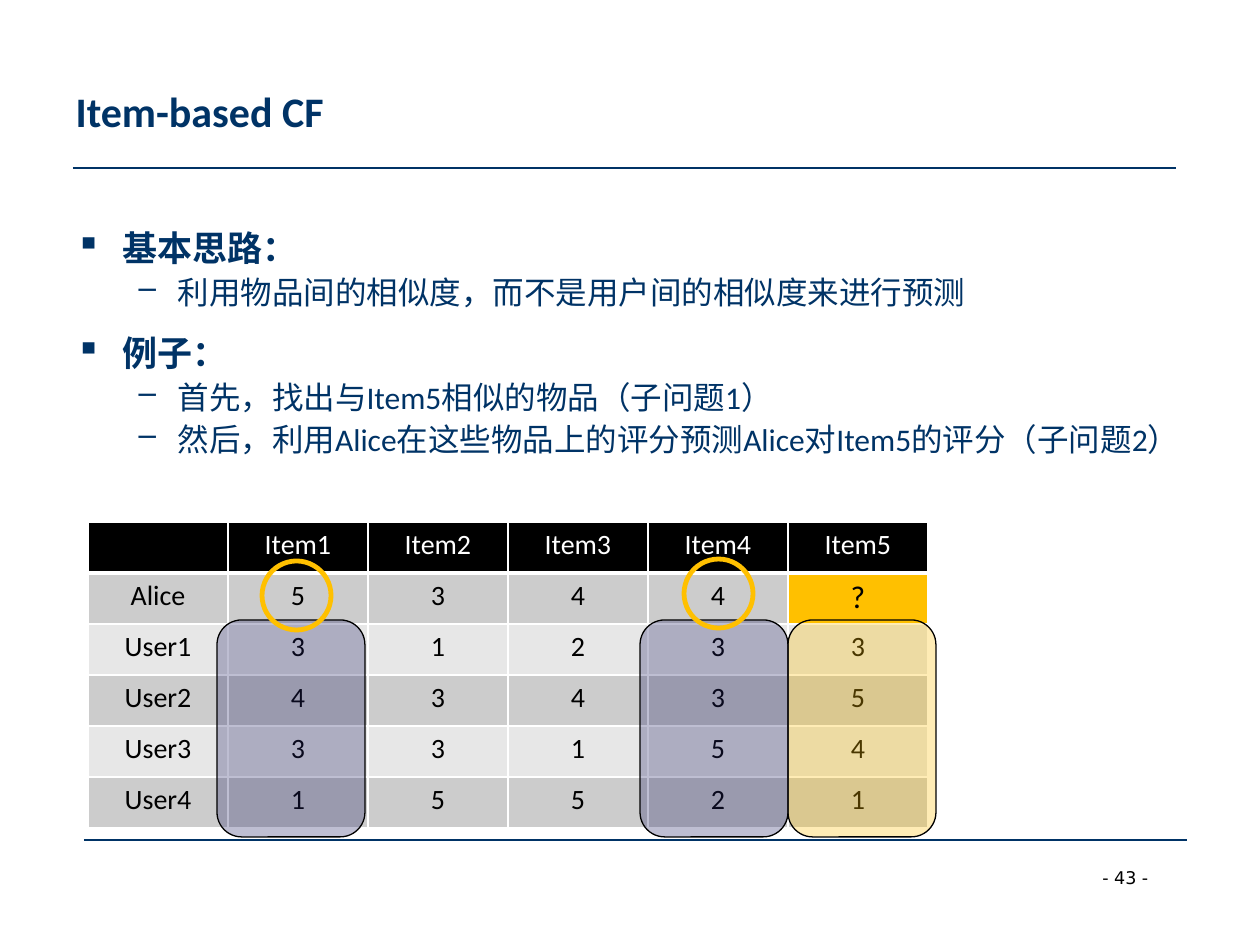
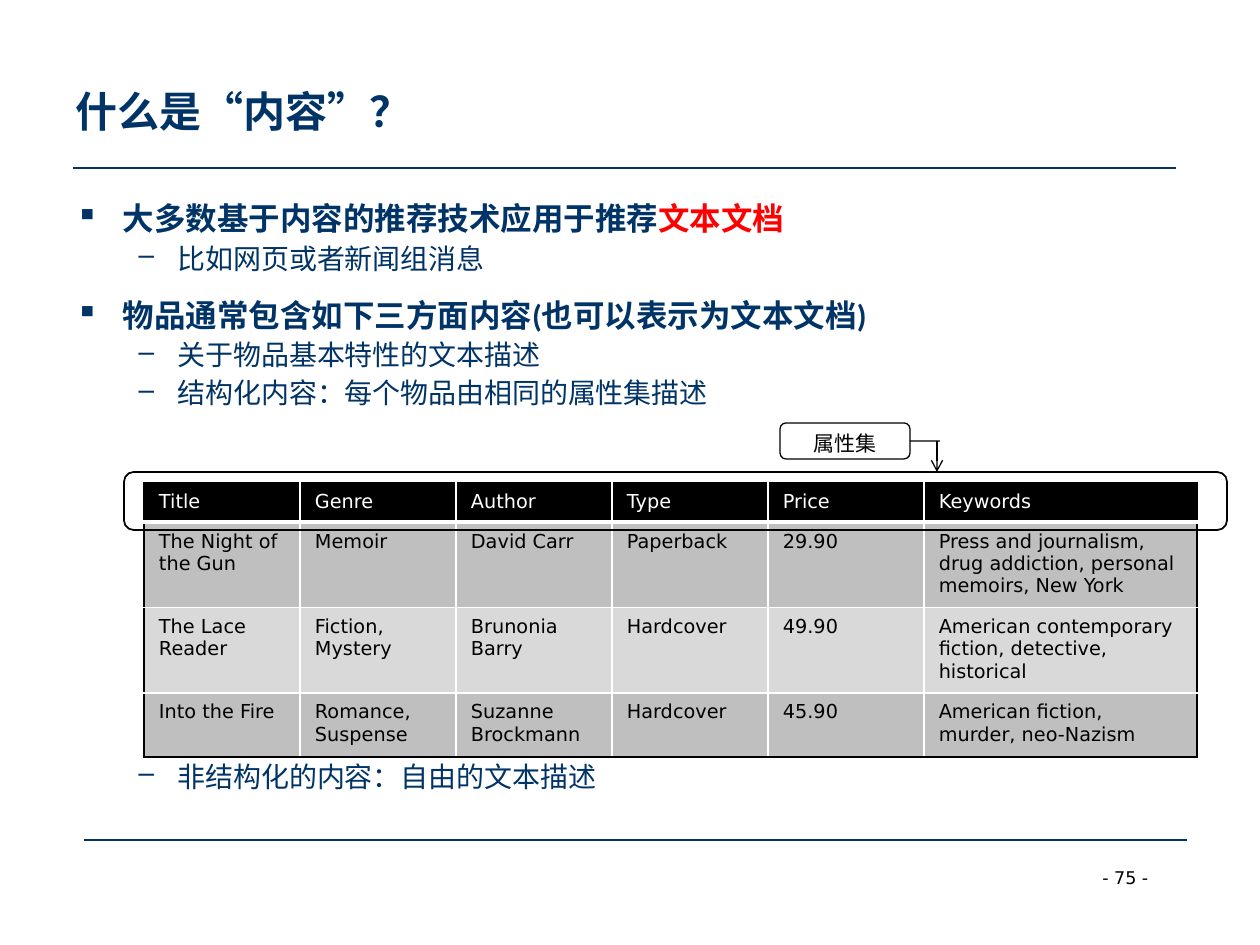
from dataclasses import dataclass

from lxml.etree import SubElement
from pptx import Presentation
from pptx.dml.color import RGBColor
from pptx.enum.shapes import MSO_CONNECTOR as Line, MSO_SHAPE as Preset
from pptx.enum.text import MSO_ANCHOR as Anchor, MSO_AUTO_SIZE as AutoSize, PP_ALIGN as Align
from pptx.oxml import parse_xml
from pptx.oxml.ns import nsdecls, qn
from pptx.util import Pt

# ---- Content ----
IDEA = {
    "title": "Item-based CF",
    "page": 43,
    "body": (63, 220, 1134, 624),
    "sizes": (20, 18),
    "points": [
        (0, "基本思路："),
        (1, "利用物品间的相似度，而不是用户间的相似度来进行预测"),
        (0, "例子："),
        (1, "首先，找出与Item5相似的物品（子问题1）"),
        (1, "然后，利用Alice在这些物品上的评分预测Alice对Item5的评分（子问题2）"),
    ],
}
RATINGS = [
    ["", "Item1", "Item2", "Item3", "Item4", "Item5"],
    ["Alice", "5", "3", "4", "4", "?"],
    ["User1", "3", "1", "2", "3", "3"],
    ["User2", "4", "3", "4", "3", "5"],
    ["User3", "3", "3", "1", "5", "4"],
    ["User4", "1", "5", "5", "2", "1"],
]

CONTENT = {
    "title": "什么是“内容”？",
    "page": 75,
    "body": (63, 193, 1134, 646),
    "sizes": (18, 16),
    "points": [
        (0, "大多数基于内容的推荐技术应用于推荐", "文本文档"),
        (1, "比如网页或者新闻组消息"),
        (0, "物品通常包含如下三方面内容(也可以表示为文本文档)"),
        (1, "关于物品基本特性的文本描述"),
        (1, "结构化内容：每个物品由相同的属性集描述"),
        (1, "非结构化的内容：自由的文本描述"),
    ],
}
BOOKS = [
    ["Title", "Genre", "Author", "Type", "Price", "Keywords"],
    ["The Night of the Gun", "Memoir", "David Carr", "Paperback", "29.90",
     "Press and journalism, drug addiction, personal memoirs, New York"],
    ["The Lace Reader", "Fiction, Mystery", "Brunonia Barry", "Hardcover", "49.90",
     "American contemporary fiction, detective, historical"],
    ["Into the Fire", "Romance, Suspense", "Suzanne Brockmann", "Hardcover", "45.90",
     "American fiction, murder, neo-Nazism"],
]
ATTRIBUTE_SET = "属性集"


# ---- Theme ----
@dataclass(frozen=True)
class Theme:
    heading_font: str = "Calibri"
    plain_font: str = "DejaVu Sans"
    navy: str = "003366"
    black: str = "000000"
    white: str = "FFFFFF"
    red: str = "FF0000"
    gold: str = "FFC000"
    indigo: str = "222267"
    rating_bands: tuple = ("CCCCCC", "E7E7E7")
    book_bands: tuple = ("BFBFBF", "D9D9D9")
    title_size: int = 24
    rating_size: int = 16
    unknown_size: int = 18
    label_size: int = 12
    book_size: int = 11
    page_size: int = 10


THEME = Theme()
EMU_PER_PX = 914400 / 126
# bullet, left margin px, hanging px, space before pt
LEVELS = [("▪", 47, 47, 12), ("–", 102, 39, 2.4)]


def px(length):
    return round(length * EMU_PER_PX)


def box(*lengths):
    return [px(length) for length in lengths]


def rgb(color):
    return RGBColor.from_string(color)


def style(font, size, color, face, bold=False):
    font.size, font.name, font.bold = Pt(size), face, bold
    font.color.rgb = rgb(color)


# ---- Shapes and lines ----
def add_outline(slide, preset, place, color=THEME.black, width=0.75, fill=None, opacity=29):
    shape = slide.shapes.add_shape(preset, *box(*place))
    shape.shadow.inherit = False
    shape.line.color.rgb = rgb(color)
    shape.line.width = Pt(width)
    if fill:
        shape.fill.solid()
        shape.fill.fore_color.rgb = rgb(fill)
        tint = shape._element.spPr.find(".//" + qn("a:solidFill"))[0]
        SubElement(tint, qn("a:alpha"), val=str(opacity * 1000))
    else:
        shape.fill.background()
    return shape


def add_line(slide, ends, color=THEME.black, arrow=False):
    line = slide.shapes.add_connector(Line.STRAIGHT, *box(*ends))
    line.line.color.rgb = rgb(color)
    line.line.width = Pt(0.75)
    if arrow:
        SubElement(line.line._get_or_add_ln(), qn("a:tailEnd"), type="arrow")
    SubElement(line._element.spPr, qn("a:effectLst"))
    return line


# ---- Title, list and footer shared by the slides ----
def place(placeholder, area):
    placeholder.left, placeholder.top, placeholder.width, placeholder.height = box(*area)


def add_points(frame, points, sizes):
    frame.auto_size = AutoSize.NONE
    for index, (level, *texts) in enumerate(points):
        point = frame.paragraphs[0] if index == 0 else frame.add_paragraph()
        bullet, margin, hanging, before = LEVELS[level]
        point.level = level
        point.space_before = Pt(before if index else 0)
        props = point._p.get_or_add_pPr()
        props.set("marL", str(px(margin)))
        props.set("indent", str(-px(hanging)))
        SubElement(props, qn("a:buFontTx"))
        SubElement(props, qn("a:buChar"), char=bullet)
        style(point.font, sizes[level], THEME.navy, THEME.heading_font, bold=level == 0)
        for text in texts:
            point.add_run().text = text
        for accent in point.runs[1:]:
            accent.font.color.rgb = rgb(THEME.red)


def start_slide(deck, content):
    slide = deck.slides.add_slide(deck.slide_layouts[1])
    title, body = slide.placeholders
    place(title, (63, 32, 1134, 157))
    title.text_frame.text = content["title"]
    title.text_frame.vertical_anchor = Anchor.MIDDLE
    heading = title.text_frame.paragraphs[0]
    heading.alignment = Align.LEFT
    style(heading.font, THEME.title_size, THEME.navy, THEME.heading_font, bold=True)

    place(body, content["body"])
    add_points(body.text_frame, content["points"], content["sizes"])

    for left, y in ((73, 168), (84, 840)):
        add_line(slide, (left, y, left + 1103, y), THEME.navy)
    page = slide.shapes.add_textbox(*box(1090, 861, 96, 34)).text_frame
    page.word_wrap = False
    page.text = f"- {content['page']} -"
    style(page.paragraphs[0].font, THEME.page_size, THEME.black, THEME.plain_font)
    return slide


# ---- Tables ----
def set_borders(cell, borders):
    props = cell._tc.get_or_add_tcPr()
    for index, (side, (color, width)) in enumerate(borders.items()):
        props.insert(index, parse_xml(
            f'<a:ln{side} {nsdecls("a")} w="{Pt(width)}"><a:solidFill>'
            f'<a:srgbClr val="{color}"/></a:solidFill></a:ln{side}>'))


def add_grid(slide, rows, corner, widths, heights, bands, size, face,
             edge=THEME.white, align=Align.LEFT, margins=(13, 6)):
    area = box(*corner, sum(widths), sum(heights))
    table = slide.shapes.add_table(len(rows), len(widths), *area).table
    for column, width in zip(table.columns, widths):
        column.width = px(width)
    for row, height in zip(table.rows, heights):
        row.height = px(height)
    last_row, last_column = len(rows) - 1, len(widths) - 1
    for r, texts in enumerate(rows):
        for c, text in enumerate(texts):
            cell = table.cell(r, c)
            cell.margin_left = cell.margin_right = px(margins[0])
            cell.margin_top = cell.margin_bottom = px(margins[1])
            cell.text = text
            entry = cell.text_frame.paragraphs[0]
            entry.alignment = align
            style(entry.font, size, THEME.black if r else THEME.white, face)
            cell.fill.solid()
            cell.fill.fore_color.rgb = rgb(bands[(r - 1) % 2] if r else THEME.black)
            set_borders(cell, {
                "L": (THEME.white if c else edge, 1),
                "R": (edge if c == last_column else THEME.white, 1),
                "T": (THEME.white if r else edge, 1),
                "B": (edge if r == last_row else THEME.white, 1 if r else 3),
            })
    return table


# ---- Slides ----
def build_idea(deck):
    slide = start_slide(deck, IDEA)
    ratings = add_grid(slide, RATINGS, (88, 522), [140] * 6, [51] * 6, THEME.rating_bands,
                       THEME.rating_size, THEME.heading_font, align=Align.CENTER)
    unknown = ratings.cell(1, 5)
    unknown.fill.fore_color.rgb = rgb(THEME.gold)
    unknown.text_frame.paragraphs[0].font.size = Pt(THEME.unknown_size)

    # Compared item columns, then Alice's ratings of the similar items
    for left, tint in ((788, THEME.gold), (217, THEME.indigo), (640, THEME.indigo)):
        add_outline(slide, Preset.ROUNDED_RECTANGLE, (left, 620, 148, 217), fill=tint)
    for left, top in ((262, 561), (684, 559)):
        add_outline(slide, Preset.OVAL, (left, top, 69, 69), THEME.gold, 2.75)


def build_content(deck):
    slide = start_slide(deck, CONTENT)
    # The last point stands below the table
    slide.placeholders[1].text_frame.paragraphs[-1].space_before = Pt(200)
    add_grid(slide, BOOKS, (144, 483), [156] * 5 + [273], [38, 83, 83, 64], THEME.book_bands,
             THEME.book_size, THEME.plain_font, edge=THEME.black, margins=(15, 8))

    # Frame round the header row and its label
    add_outline(slide, Preset.ROUNDED_RECTANGLE, (124, 472, 1103, 58), width=1)
    label = add_outline(slide, Preset.ROUNDED_RECTANGLE, (780, 423, 130, 36))
    label.text_frame.text = ATTRIBUTE_SET
    label.text_frame.vertical_anchor = Anchor.TOP
    caption = label.text_frame.paragraphs[0]
    caption.alignment = Align.CENTER
    style(caption.font, THEME.label_size, THEME.black, THEME.plain_font)
    add_line(slide, (910, 441, 940, 441)).begin_connect(label, 3)
    add_line(slide, (937, 441, 937, 472), arrow=True)


def main():
    deck = Presentation()
    deck.slide_width, deck.slide_height = box(1260, 945)
    build_idea(deck)
    build_content(deck)
    deck.save("out.pptx")


if __name__ == "__main__":
    main()
